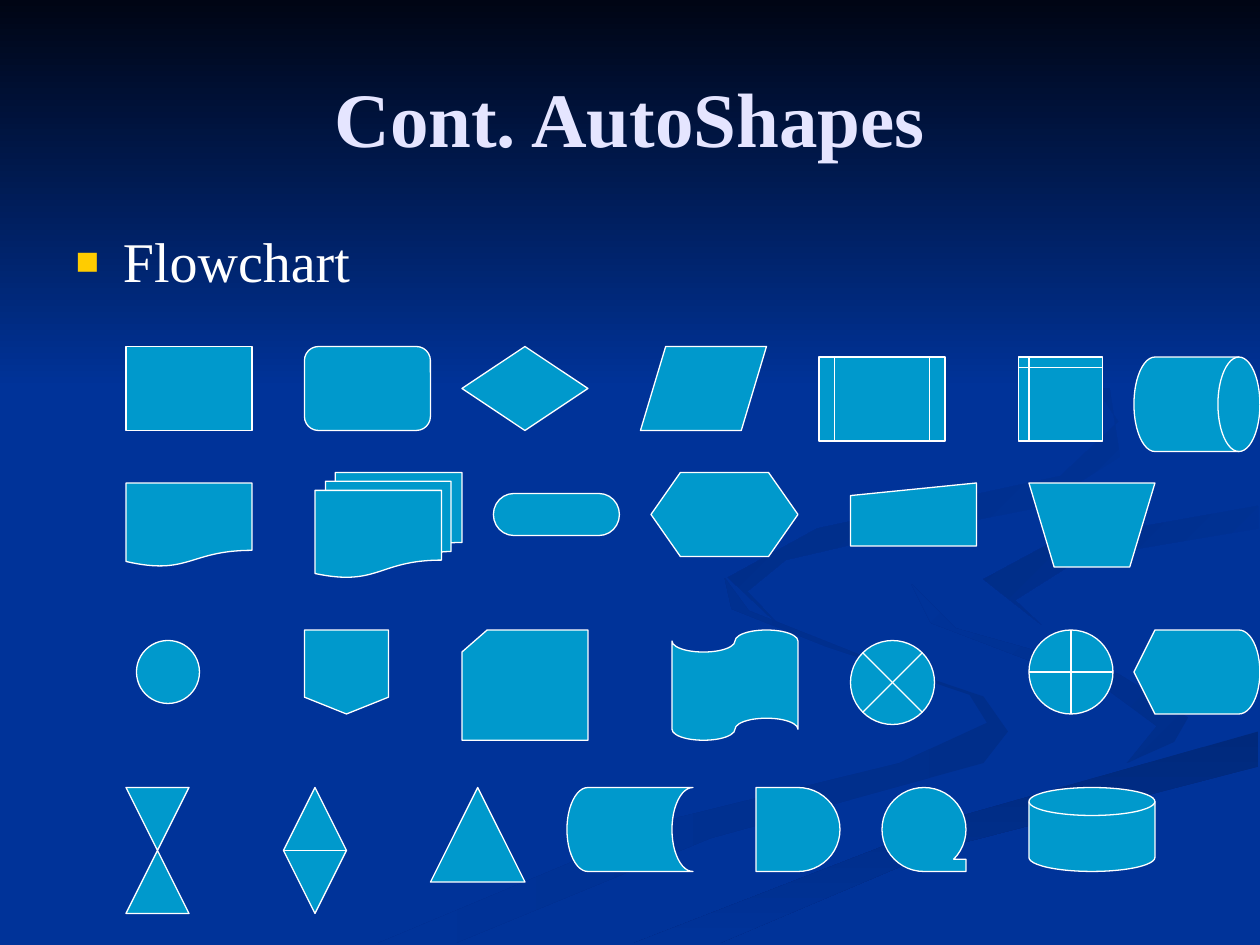
"""Build a slide that shows the flowchart AutoShapes on a blue ribbon background."""
import lxml.etree
import pptx
import pptx.dml.color
import pptx.enum.shapes
import pptx.enum.text
import pptx.oxml.ns
import pptx.util

Pt = pptx.util.Pt

BLUE = "003399"
RIBBONS = [
    ("002E8A", BLUE, 180, [
        (562, 398), (491, 374), (428, 349), (414, 330), (418, 348), (471, 369), (554, 397), (564, 413),
        (514, 436), (388, 467), (216, 539), (260, 539), (406, 479), (562, 436), (576, 418)]),
    ("002E8A", BLUE, 225, [
        (679, 410), (639, 385), (546, 359), (521, 334), (532, 356), (634, 395), (661, 415), (644, 436),
        (671, 424)]),
    ("00297C", BLUE, 90, [(362, 539), (411, 539), (541, 484), (719, 438), (719, 418), (550, 466)]),
    (BLUE, "002C85", 225, [
        (562, 331), (595, 357), (580, 343), (618, 319), (719, 302), (719, 289), (601, 310)]),
    (BLUE, "002B81", 225, [
        (492, 310), (594, 290), (640, 261), (634, 221), (549, 168), (616, 205), (639, 241), (606, 272),
        (467, 302), (416, 330), (448, 360), (427, 338), (449, 320)]),
    ("000514", BLUE, 90, [(0, 0), (0, 222), (720, 222), (720, 0)]),
]

WIDE, SQUARE, TALL, CARD = (72, 48), (48, 48), (36, 72), (72, 63)
SYMBOL_ROWS = {
    198: [("PROCESS", 72, WIDE), ("ALTERNATE_PROCESS", 174, WIDE), ("DECISION", 264, WIDE), ("DATA", 366, WIDE)],
    204: [("PREDEFINED_PROCESS", 468, WIDE), ("INTERNAL_STORAGE", 582, SQUARE),
          ("DIRECT_ACCESS_STORAGE", 648, (72, 54))],
    270: [("MULTIDOCUMENT", 180, (84, 60)), ("PREPARATION", 372, (84, 48))],
    276: [("DOCUMENT", 72, WIDE), ("MANUAL_INPUT", 486, (72, 36)), ("MANUAL_OPERATION", 588, WIDE)],
    282: [("TERMINATOR", 282, (72, 24))],
    360: [("OFFPAGE_CONNECTOR", 174, SQUARE), ("CARD", 264, CARD), ("PUNCHED_TAPE", 384, CARD),
          ("OR", 588, SQUARE), ("DISPLAY", 648, WIDE)],
    366: [("CONNECTOR", 78, (36, 36)), ("SUMMING_JUNCTION", 486, SQUARE)],
    450: [("COLLATE", 72, TALL), ("SORT", 162, TALL), ("EXTRACT", 246, (54, 54)), ("STORED_DATA", 324, WIDE),
          ("DELAY", 432, SQUARE), ("SEQUENTIAL_ACCESS_STORAGE", 504, SQUARE), ("MAGNETIC_DISK", 588, WIDE)],
}


def color(value):
    return pptx.dml.color.RGBColor.from_string(value)


class SlideBuilder:
    font_name = "Times New Roman"
    symbol_fill = "0099CC"
    white = "FFFFFF"

    def __init__(self, slide):
        self.slide = slide

    def background(self, value):
        fill = self.slide.background.fill
        fill.solid()
        fill.fore_color.rgb = color(value)

    def ribbon(self, start, end, angle, points):
        builder = self.slide.shapes.build_freeform(*points[0], scale=Pt(1))
        builder.add_line_segments(points[1:], close=True)
        shape = builder.convert_to_shape()
        shape.shadow.inherit = False
        shape.line.fill.background()
        shape.fill.gradient()
        shape.fill.gradient_angle = 360 - angle
        for stop, value in zip(shape.fill.gradient_stops, (start, end)):
            stop.color.rgb = color(value)

    def placeholder(self, shape, text, box, anchor):
        shape.element.getparent().append(shape.element)
        shape.left, shape.top, shape.width, shape.height = map(Pt, box)
        shape.text_frame.text = text
        shape.text_frame.vertical_anchor = anchor
        return shape.text_frame.paragraphs[0]

    def style(self, paragraph, size, value, bold=False):
        paragraph.font.name = self.font_name
        paragraph.font.size = Pt(size)
        paragraph.font.bold = bold
        paragraph.font.color.rgb = color(value)

    def title(self, text):
        anchor = pptx.enum.text.MSO_ANCHOR.MIDDLE
        paragraph = self.placeholder(self.slide.shapes.title, text, (36, 21.6, 648, 90), anchor)
        paragraph.alignment = pptx.enum.text.PP_ALIGN.CENTER
        self.style(paragraph, 44, "E5E5FF", bold=True)

    def bullet(self, text):
        anchor = pptx.enum.text.MSO_ANCHOR.TOP
        paragraph = self.placeholder(self.slide.placeholders[1], text, (36, 126, 648, 356.4), anchor)
        properties = paragraph._p.get_or_add_pPr()
        properties.set("marL", str(Pt(27)))
        properties.set("indent", str(-Pt(27)))
        qualify = pptx.oxml.ns.qn
        bullet_color = lxml.etree.SubElement(properties, qualify("a:buClr"))
        lxml.etree.SubElement(bullet_color, qualify("a:srgbClr"), val="FFCC00")
        lxml.etree.SubElement(properties, qualify("a:buSzPct"), val="70000")
        lxml.etree.SubElement(properties, qualify("a:buChar"), char="■")
        paragraph.space_before = Pt(0)
        self.style(paragraph, 32, self.white)

    def symbol(self, name, left, top, size):
        kind = pptx.enum.shapes.MSO_SHAPE[f"FLOWCHART_{name}"]
        shape = self.slide.shapes.add_shape(kind, Pt(left), Pt(top), *map(Pt, size))
        shape.shadow.inherit = False
        shape.fill.solid()
        shape.fill.fore_color.rgb = color(self.symbol_fill)
        shape.line.color.rgb = color(self.white)
        shape.line.width = Pt(0.75)


def main():
    presentation = pptx.Presentation()
    presentation.slide_width, presentation.slide_height = Pt(720), Pt(540)
    builder = SlideBuilder(presentation.slides.add_slide(presentation.slide_layouts[1]))
    builder.background(BLUE)
    for ribbon in RIBBONS:
        builder.ribbon(*ribbon)
    builder.title("Cont. AutoShapes")
    builder.bullet("Flowchart")
    for top, symbols in SYMBOL_ROWS.items():
        for name, left, size in symbols:
            builder.symbol(name, left, top, size)
    presentation.save("out.pptx")


if __name__ == "__main__":
    main()
